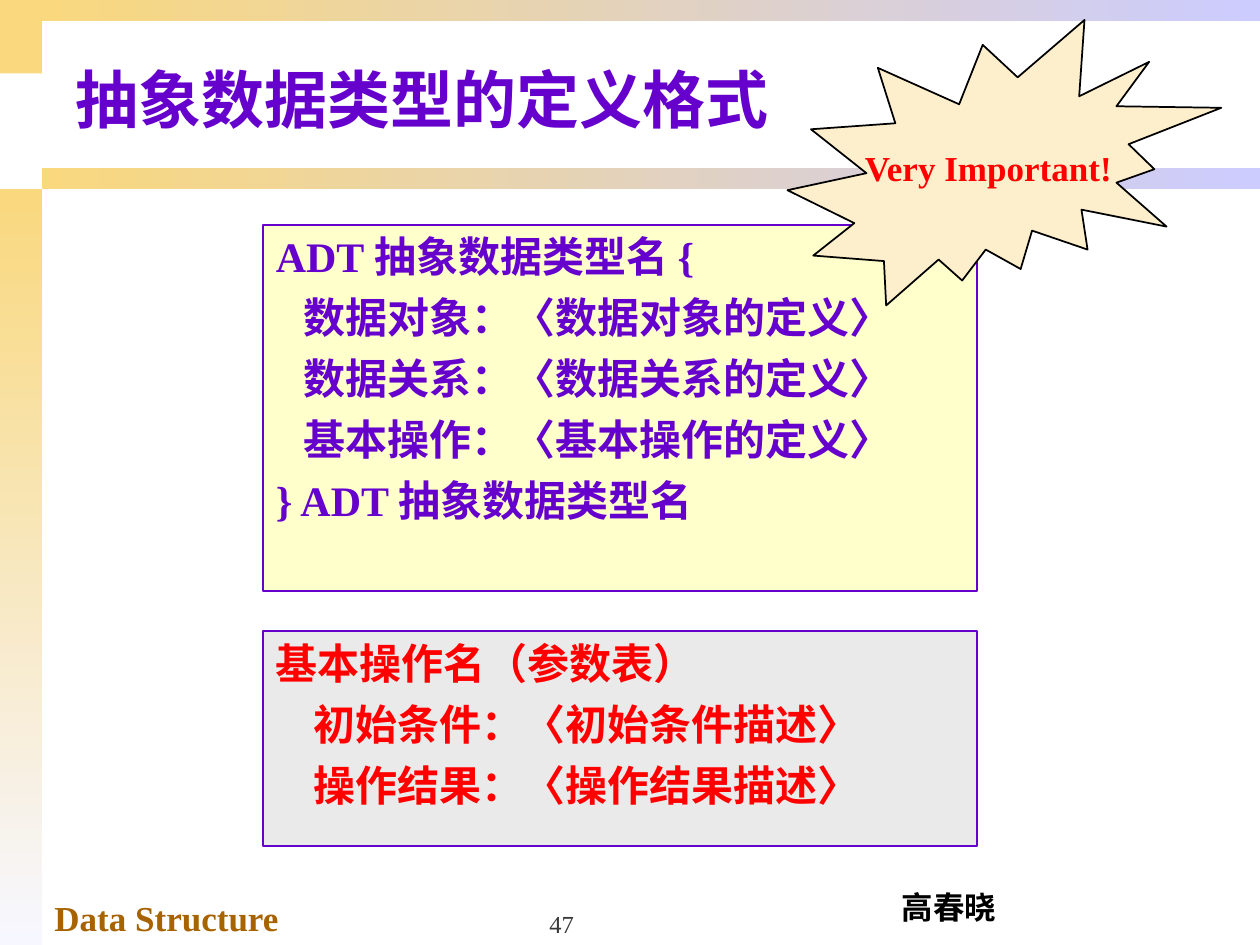
from pptx import Presentation
from pptx.util import Inches, Pt
from pptx.dml.color import RGBColor
from pptx.enum.shapes import MSO_SHAPE
from pptx.enum.text import MSO_ANCHOR, PP_ALIGN
from lxml import etree

RECT, BURST = MSO_SHAPE.RECTANGLE, MSO_SHAPE.EXPLOSION2
TOP, MIDDLE, BOTTOM = MSO_ANCHOR.TOP, MSO_ANCHOR.MIDDLE, MSO_ANCHOR.BOTTOM
LEFT, CENTER = PP_ALIGN.LEFT, PP_ALIGN.CENTER

GOLD = RGBColor(0xF9, 0xD8, 0x7E)
LILAC = RGBColor(0xCC, 0xCC, 0xFF)
MIST = RGBColor(0xF7, 0xF7, 0xFF)
PURPLE = RGBColor(0x66, 0x00, 0xCC)
RED = RGBColor(0xFF, 0x00, 0x00)
BLACK = RGBColor(0x00, 0x00, 0x00)
BROWN = RGBColor(0xA6, 0x63, 0x00)
GRAY = RGBColor(0x39, 0x39, 0x39)
CREAM = RGBColor(0xFF, 0xFF, 0xCC)
SILVER = RGBColor(0xEA, 0xEA, 0xEA)
PEACH = RGBColor(0xFD, 0xEF, 0xCB)

LATIN, CJK = "Times New Roman", "Noto Sans CJK SC"
DRAWING_NS = "{http://schemas.openxmlformats.org/drawingml/2006/main}"

prs = Presentation()
prs.slide_width, prs.slide_height = Inches(10), Inches(7.5)
COL, ROW = prs.slide_width / 30, prs.slide_height / 45
slide = prs.slides.add_slide(prs.slide_layouts[6])


def grid(col, row, cols, rows):
    return [round(n) for n in (col * COL, row * ROW, cols * COL, rows * ROW)]


def write(box, lines, size, color, bold=True, align=LEFT, anchor=TOP,
          wrap=True, latin=LATIN):
    """Fill a box with (text, indent in points) lines."""
    frame = box.text_frame
    frame.word_wrap, frame.vertical_anchor = wrap, anchor
    frame.text = "\n".join(text for text, _ in lines)
    for i, (paragraph, (_, indent)) in enumerate(zip(frame.paragraphs, lines)):
        paragraph.alignment = align
        paragraph.space_before = Pt(6 if i else 0)
        paragraph._p.get_or_add_pPr().set("marL", str(Pt(indent)))
        for run in paragraph.runs:
            font = run.font
            font.name, font.size, font.bold = latin, Pt(size), bold
            font.color.rgb = color
            east_asian = etree.SubElement(run._r.get_or_add_rPr(), DRAWING_NS + "ea")
            east_asian.set("typeface", CJK)


# Frame bands: gold corner, left band, rule under the title, top band
for area, end_color, angle in [
    (grid(0, 0, 1, 3.5), None, 0),
    (grid(0, 9, 1, 36), MIST, 270),
    (grid(1, 8, 29, 1), LILAC, 0),
    (grid(1, 0, 29, 1), LILAC, 0),
]:
    band = slide.shapes.add_shape(RECT, *area)
    band.shadow.inherit = False
    band.line.fill.background()
    if end_color is None:
        band.fill.solid()
        band.fill.fore_color.rgb = GOLD
    else:
        band.fill.gradient()
        band.fill.gradient_angle = angle
        for stop, color in zip(band.fill.gradient_stops, (GOLD, end_color)):
            stop.color.rgb = color

# Title, course, author and page number
for area, text, size, color, style in [
    (grid(1.5, 1.5, 28.5, 6.4), "抽象数据类型的定义格式", 36, PURPLE,
     {"anchor": MIDDLE}),
    (grid(1, 42.4, 10.5, 2.6), "Data Structure", 20, BROWN, {}),
    (grid(21.15, 42, 2.9, 2.4), "高春晓", 18, BLACK,
     {"align": CENTER, "wrap": False, "latin": CJK}),
    (grid(10.25, 42, 6.25, 3), "47", 14, GRAY,
     {"bold": False, "align": CENTER, "anchor": BOTTOM}),
]:
    write(slide.shapes.add_textbox(*area), [(text, 0)], size, color, **style)

# Definition format, operation format and the callout over them
definition = [("ADT 抽象数据类型名 {", 0)]
definition += [(f"{part}：〈{part}的定义〉", 16)
               for part in ("数据对象", "数据关系", "基本操作")]
definition += [("} ADT 抽象数据类型名", 0)]
operation = [("基本操作名（参数表）", 0)]
operation += [(f"{part}：〈{part}描述〉", 21.5) for part in ("初始条件", "操作结果")]

for kind, area, fill, outline, lines, size, color, style in [
    (RECT, grid(6.27, 10.7, 17, 17.45), CREAM, PURPLE, definition, 24, PURPLE, {}),
    (RECT, grid(6.27, 30.05, 17, 10.25), SILVER, PURPLE, operation, 24, RED, {}),
    (BURST, grid(18.75, 0.95, 10.33, 13.6), PEACH, BLACK,
     [("Very Important!", 0)], 20, RED,
     {"align": CENTER, "anchor": MIDDLE, "wrap": False}),
]:
    panel = slide.shapes.add_shape(kind, *area)
    panel.shadow.inherit = False
    panel.fill.solid()
    panel.fill.fore_color.rgb = fill
    panel.line.color.rgb = outline
    panel.line.width = Pt(1)
    write(panel, lines, size, color, **style)

prs.save("out.pptx")
